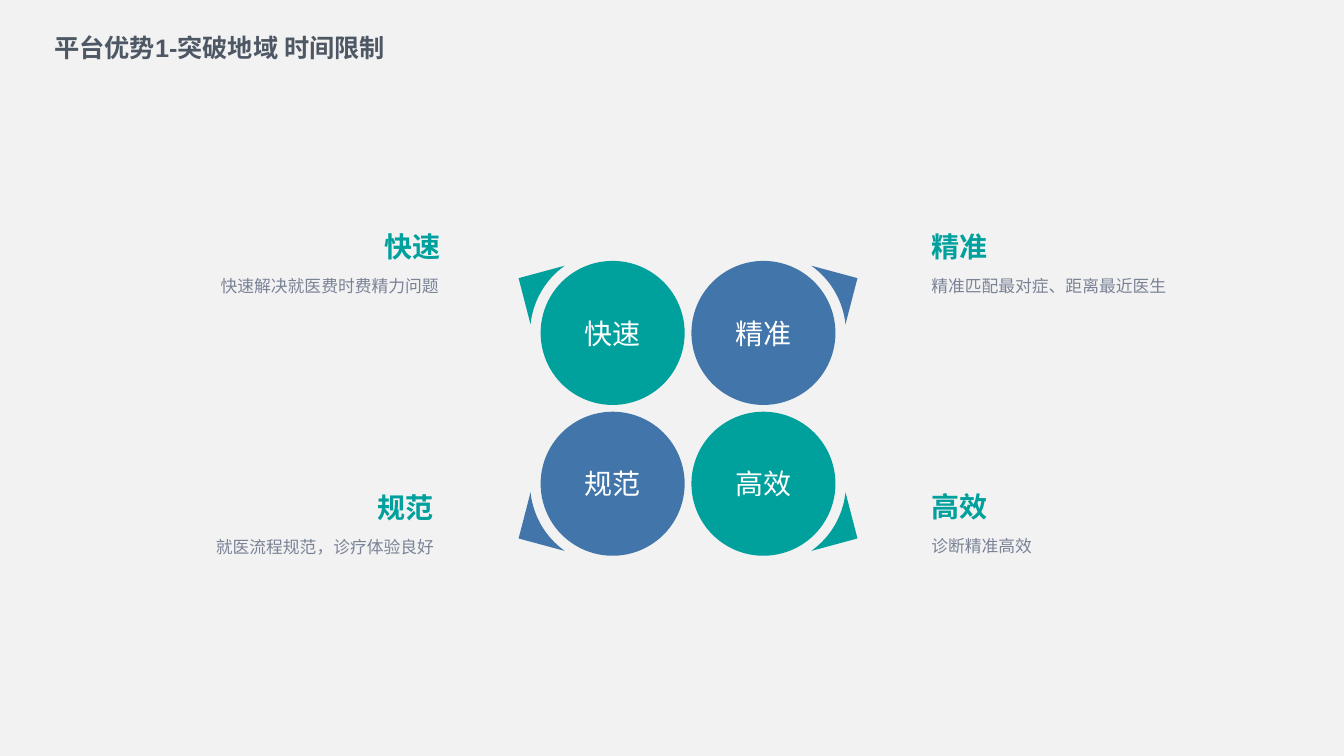
"""Build a slide with four platform advantages around a cluster of circles."""
import math
from dataclasses import dataclass

from pptx import Presentation
from pptx import util as u
from pptx.dml.color import RGBColor
from pptx.enum import shapes, text
from pptx.oxml.ns import qn

ALIGN = text.PP_ALIGN


@dataclass(frozen=True)
class Theme:
    background: str = "F2F2F2"
    teal: str = "00A09D"
    blue: str = "4276AA"
    white: str = "FFFFFF"
    title: str = "4E5865"
    body: str = "7A8396"
    cjk: str = "Noto Sans CJK SC"
    latin: str = "Arial"
    title_size: int = 18
    heading_size: int = 20
    body_size: int = 12


THEME = Theme()
FIRST_CENTRE = (15.44, 8.39)
PITCH = 3.8
DIAMETER = 3.63
WEDGE_RADIUS = 2.08
WEDGE_TIP = (2.37, 1.38)
WEDGE_ANGLES = (6, 54.5)
WEDGE_STEPS = 16

# Column, row, colour, name, heading left and top, body left and width, body text
ADVANTAGES = [
    (0, 0, THEME.teal, "快速", 5.92, 5.79, 5.56, 6.05, "快速解决就医费时费精力问题"),
    (1, 0, THEME.blue, "精准", 23.47, 5.79, 23.47, 6.73, "精准匹配最对症、距离最近医生"),
    (0, 1, THEME.blue, "规范", 5.74, 12.36, 5.44, 5.79, "就医流程规范，诊疗体验良好"),
    (1, 1, THEME.teal, "高效", 23.47, 12.34, 23.47, 3.25, "诊断精准高效"),
]


def paint(s, color):
    """Give a shape a flat fill with no outline or shadow."""
    s.fill.solid()
    s.fill.fore_color.rgb = RGBColor.from_string(color)
    s.line.fill.background()
    s.shadow.inherit = False


def write(tf, content, size, color, align, bold=False, font=THEME.cjk, inset=0):
    """Write one styled run into a text frame and return its paragraph."""
    tf.word_wrap = True
    tf.margin_left = tf.margin_right = u.Cm(inset)
    tf.margin_top = tf.margin_bottom = u.Cm(inset / 2)
    p = tf.paragraphs[0]
    p.alignment = align
    r = p.add_run()
    r.text = content
    r.font.size = u.Pt(size)
    r.font.bold = bold
    r.font.color.rgb = RGBColor.from_string(color)
    r.font.name = font
    ea = r.font._element.makeelement(qn("a:ea"), {"typeface": THEME.cjk})
    r.font._element.find(qn("a:latin")).addnext(ea)
    return p


def add_text(slide, left, top, width, height, *args, **kwargs):
    """Add a text box measured in centimetres and return its paragraph."""
    box = slide.shapes.add_textbox(u.Cm(left), u.Cm(top), u.Cm(width), u.Cm(height))
    return write(box.text_frame, *args, **kwargs)


def add_wedge(slide, x, y, side, rise, color):
    """Add the pointed outer corner that hugs a circle."""
    def place(dx, dy):
        """Turn an outward offset into a slide position."""
        return u.Cm(x + side * dx), u.Cm(y + rise * dy)

    start, end = (math.radians(a) for a in WEDGE_ANGLES)
    angles = [start + (end - start) * i / WEDGE_STEPS for i in range(WEDGE_STEPS + 1)]
    arc = [place(WEDGE_RADIUS * math.cos(a), WEDGE_RADIUS * math.sin(a)) for a in angles]
    builder = slide.shapes.build_freeform(*place(*WEDGE_TIP))
    builder.add_line_segments(arc, close=True)
    paint(builder.convert_to_shape(), color)


def add_circle(slide, x, y, color, name):
    """Add a labelled circle around a centre point."""
    s = slide.shapes.add_shape(
        shapes.MSO_SHAPE.OVAL, u.Cm(x - DIAMETER / 2), u.Cm(y - DIAMETER / 2),
        u.Cm(DIAMETER), u.Cm(DIAMETER))
    paint(s, color)
    s.text_frame.vertical_anchor = text.MSO_ANCHOR.MIDDLE
    write(s.text_frame, name, THEME.heading_size, THEME.white, ALIGN.CENTER)


def add_advantage(slide, col, row, color, name, head_left, top, left, width, detail):
    """Add one advantage: wedge, circle, heading and description."""
    x, y = FIRST_CENTRE[0] + col * PITCH, FIRST_CENTRE[1] + row * PITCH
    add_wedge(slide, x, y, 2 * col - 1, 2 * row - 1, color)
    add_circle(slide, x, y, color, name)
    add_text(slide, head_left, top, 5.18, 0.86, name, THEME.heading_size, THEME.teal,
             ALIGN.LEFT if col else ALIGN.RIGHT, bold=True)
    p = add_text(slide, left, top + 1.14, width, 0.51, detail, THEME.body_size,
                 THEME.body, ALIGN.JUSTIFY)
    p.line_spacing = u.Pt(15)


def main():
    """Create the presentation and save it."""
    prs = Presentation()
    prs.slide_width, prs.slide_height = u.Cm(33.87), u.Cm(19.05)
    slide = prs.slides.add_slide(prs.slide_layouts[6])
    fill = slide.background.fill
    fill.solid()
    fill.fore_color.rgb = RGBColor.from_string(THEME.background)
    for advantage in ADVANTAGES:
        add_advantage(slide, *advantage)
    add_text(slide, 1.12, 0.69, 8.97, 1.02, "平台优势1-突破地域 时间限制", THEME.title_size,
             THEME.title, ALIGN.LEFT, bold=True, font=THEME.latin, inset=0.25)
    prs.save("out.pptx")


if __name__ == "__main__":
    main()
